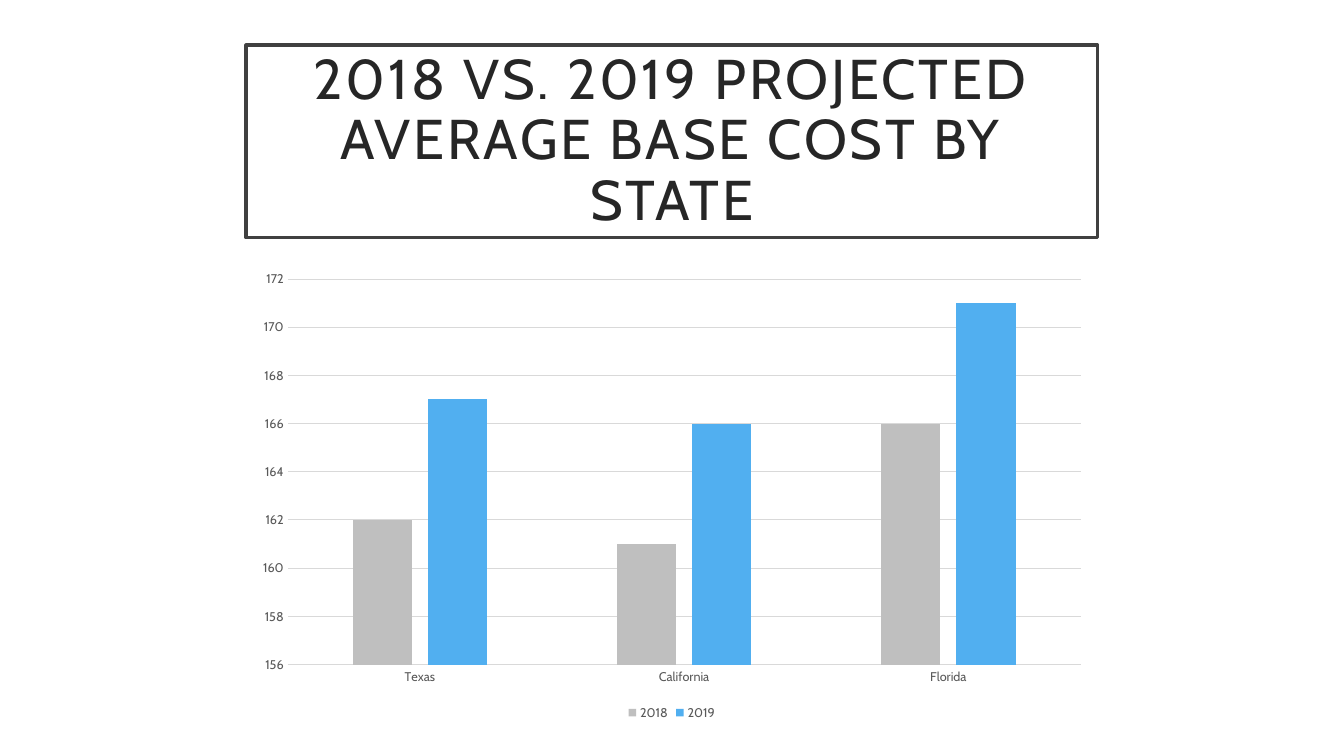
from pptx import Presentation
from pptx.chart.data import CategoryChartData
from pptx.dml.color import RGBColor
from pptx.enum.chart import XL_CHART_TYPE, XL_LEGEND_POSITION, XL_TICK_MARK
from pptx.enum.text import MSO_ANCHOR, MSO_AUTO_SIZE, PP_ALIGN
from pptx.util import Cm, Pt

WHITE = RGBColor(0xFF, 0xFF, 0xFF)
FRAME = RGBColor(0x40, 0x40, 0x40)
HEADING = RGBColor(0x26, 0x26, 0x26)
LABEL = RGBColor(0x59, 0x59, 0x59)
GRID = RGBColor(0xD9, 0xD9, 0xD9)
GRAY = RGBColor(0xBF, 0xBF, 0xBF)
BLUE = RGBColor(0x51, 0xAF, 0xF0)

LEFT, WIDTH = Cm(6.2), Cm(21.46)
STATES = ["Texas", "California", "Florida"]
COSTS = {"2018": ([162, 161, 166], GRAY), "2019": ([167, 166, 171], BLUE)}


def apply(target, **values):
    """Set each named attribute on the target."""
    for name, value in values.items():
        setattr(target, name, value)


class CostSlide:
    """Holds the font and the current slide, and adds its elements."""

    def __init__(self, deck, font_name):
        """Start a title-only slide."""
        self.font_name = font_name
        self.slide = deck.slides.add_slide(deck.slide_layouts[5])

    def style_font(self, font, size, color):
        """Give a font the slide's typeface with a size and colour."""
        apply(font, name=self.font_name, size=Pt(size), bold=False)
        font.color.rgb = color

    def style_line(self, line, width, color):
        """Give a line a width and solid colour."""
        line.width = Pt(width)
        line.fill.solid()
        line.fill.fore_color.rgb = color

    def title(self, words):
        """Place the framed heading."""
        heading = self.slide.shapes.title
        apply(heading, left=LEFT, top=Cm(1.14), width=WIDTH, height=Cm(4.85))
        heading.fill.solid()
        heading.fill.fore_color.rgb = WHITE
        self.style_line(heading.line, 2.5, FRAME)
        frame = heading.text_frame
        inset = Cm(0.5)
        apply(frame, text=words, word_wrap=True, auto_size=MSO_AUTO_SIZE.NONE,
              vertical_anchor=MSO_ANCHOR.MIDDLE, margin_left=inset,
              margin_right=inset, margin_top=inset, margin_bottom=inset)
        paragraph = frame.paragraphs[0]
        apply(paragraph, alignment=PP_ALIGN.CENTER, line_spacing=0.9)
        run = paragraph.runs[0]
        self.style_font(run.font, 40, HEADING)
        run.font._element.set("spc", "200")

    def columns(self, categories, costs):
        """Add the clustered column chart."""
        data = CategoryChartData()
        data.categories = categories
        for year, (values, _) in costs.items():
            data.add_series(year, values)
        chart = self.slide.shapes.add_chart(
            XL_CHART_TYPE.COLUMN_CLUSTERED, LEFT, Cm(6.6), WIDTH, Cm(11.66), data).chart
        apply(chart, has_title=False, has_legend=True)
        self.style_font(chart.font, 10, LABEL)
        apply(chart.legend, position=XL_LEGEND_POSITION.BOTTOM, include_in_layout=False)
        self.style_font(chart.legend.font, 9, LABEL)

        plot = chart.plots[0]
        apply(plot, gap_width=219, overlap=-27, vary_by_categories=False)
        for series, (_, color) in zip(plot.series, costs.values()):
            series.format.fill.solid()
            series.format.fill.fore_color.rgb = color

        for axis in (chart.category_axis, chart.value_axis):
            apply(axis, major_tick_mark=XL_TICK_MARK.NONE, minor_tick_mark=XL_TICK_MARK.NONE)
            self.style_font(axis.tick_labels.font, 9, LABEL)
        self.style_line(chart.category_axis.format.line, 0.75, GRID)
        cost_axis = chart.value_axis
        apply(cost_axis, minimum_scale=156, maximum_scale=172, major_unit=2,
              has_major_gridlines=True)
        cost_axis.format.line.fill.background()
        self.style_line(cost_axis.major_gridlines.format.line, 0.75, GRID)


def main():
    """Build and save the deck."""
    deck = Presentation()
    apply(deck, slide_width=Cm(33.87), slide_height=Cm(19.05))
    page = CostSlide(deck, "Cabin")
    page.title("2018 VS. 2019 PROJECTED AVERAGE BASE COST BY STATE")
    page.columns(STATES, COSTS)
    deck.save("out.pptx")


if __name__ == "__main__":
    main()
